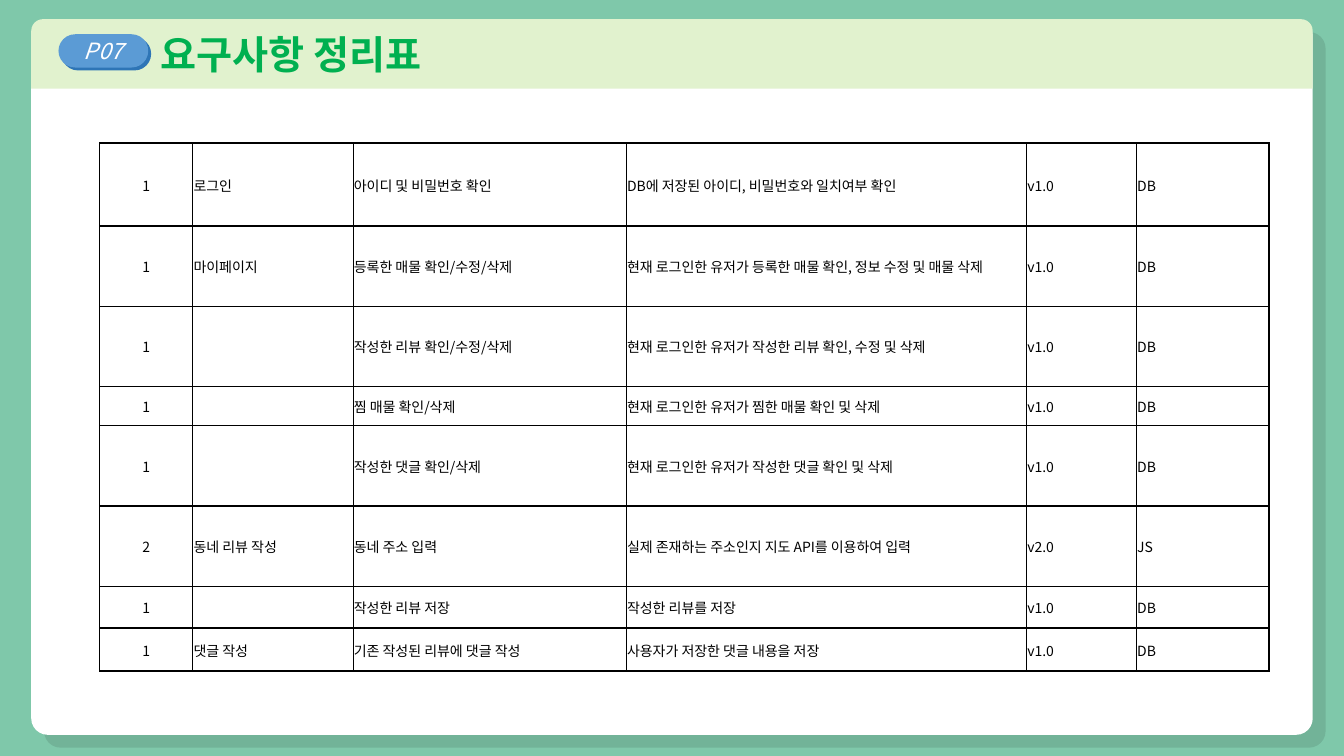
from lxml import etree
from pptx import Presentation
from pptx.dml.color import RGBColor
from pptx.enum.shapes import MSO_SHAPE
from pptx.enum.text import MSO_ANCHOR, MSO_AUTO_SIZE, PP_ALIGN
from pptx.oxml import parse_xml
from pptx.oxml.ns import nsdecls, qn
from pptx.util import Inches, Pt

ROUND, TOP_ROUND = MSO_SHAPE.ROUNDED_RECTANGLE, MSO_SHAPE.ROUND_2_SAME_RECTANGLE
LEFT, CENTER = PP_ALIGN.LEFT, PP_ALIGN.CENTER
MIDDLE = MSO_ANCHOR.MIDDLE
FONT = "Noto Sans CJK KR"
color = RGBColor.from_string


def box(kind, area, fill, shade=None):
    """Add a plain shape; shade is (colour, alpha in %, distance in points)."""
    shape = slide.shapes.add_shape(kind, *map(Inches, area))
    shape.fill.solid()
    shape.fill.fore_color.rgb = color(fill)
    shape.line.fill.background()
    shape.shadow.inherit = False
    if shade:
        tone, alpha, dist = shade
        shape.element.spPr.find(qn("a:effectLst")).append(parse_xml(
            f'<a:outerShdw {nsdecls("a")} blurRad="0" dist="{Pt(dist)}" dir="2700000" '
            f'algn="tl" rotWithShape="0"><a:srgbClr val="{tone}">'
            f'<a:alpha val="{alpha * 1000}"/></a:srgbClr></a:outerShdw>'))
    return shape


def write(frame, text, size, tone, align, bold=False, italic=False):
    frame.text = text
    para = frame.paragraphs[0]
    para.alignment = align
    for run in para.runs:
        font = run.font
        font.name, font.size = FONT, Pt(size)
        font.bold, font.italic = bold, italic
        font.color.rgb = color(tone)
        east = etree.Element(qn("a:ea"), typeface=FONT)
        run.font._element.find(qn("a:latin")).addnext(east)


prs = Presentation()
prs.slide_width, prs.slide_height = Inches(13.33), Inches(7.5)
slide = prs.slides.add_slide(prs.slide_layouts[5])
slide.background.fill.solid()
slide.background.fill.fore_color.rgb = color("7FC8AA")

# Card, header band and title
card = box(ROUND, (0.31, 0.19, 12.71, 7.1), "FFFFFF", ("000000", 10, 13))
card.adjustments[0] = 0.023
band = box(TOP_ROUND, (0.31, 0.19, 12.71, 0.69), "E1F2CE")

title = slide.shapes.title
title.left, title.top = band.left, band.top
title.width, title.height = band.width, band.height
frame = title.text_frame
write(frame, "요구사항 정리표", 28, "00B050", LEFT, bold=True)
frame.margin_left = Inches(1.28)
frame.auto_size = MSO_AUTO_SIZE.NONE
frame.vertical_anchor = MIDDLE
band.element.addnext(title.element)

badge = box(ROUND, (0.58, 0.34, 0.89, 0.33), "5B9BD5", ("2E75B6", 100, 3))
badge.adjustments[0] = 0.5
badge.text_frame.vertical_anchor = MIDDLE
write(badge.text_frame, "P07", 16, "FFFFFF", CENTER, italic=True)

# Requirements table
rows = [
    ("1", "로그인", "아이디 및 비밀번호 확인",
     "DB에 저장된 아이디, 비밀번호와 일치여부 확인", "v1.0", "DB"),
    ("1", "마이페이지", "등록한 매물 확인/수정/삭제",
     "현재 로그인한 유저가 등록한 매물 확인, 정보 수정 및 매물 삭제", "v1.0", "DB"),
    ("1", "", "작성한 리뷰 확인/수정/삭제",
     "현재 로그인한 유저가 작성한 리뷰 확인, 수정 및 삭제", "v1.0", "DB"),
    ("1", "", "찜 매물 확인/삭제",
     "현재 로그인한 유저가 찜한 매물 확인 및 삭제", "v1.0", "DB"),
    ("1", "", "작성한 댓글 확인/삭제",
     "현재 로그인한 유저가 작성한 댓글 확인 및 삭제", "v1.0", "DB"),
    ("2", "동네 리뷰 작성", "동네 주소 입력",
     "실제 존재하는 주소인지 지도 API를 이용하여 입력", "v2.0", "JS"),
    ("1", "", "작성한 리뷰 저장", "작성한 리뷰를 저장", "v1.0", "DB"),
    ("1", "댓글 작성", "기존 작성된 리뷰에 댓글 작성",
     "사용자가 저장한 댓글 내용을 저장", "v1.0", "DB"),
]
widths = [0.92, 1.59, 2.71, 3.97, 1.09, 1.32]
heights = [0.82, 0.8, 0.79, 0.39, 0.8, 0.8, 0.41, 0.43]
table = slide.shapes.add_table(len(rows), len(widths), Inches(0.99), Inches(1.42),
                               Inches(11.6), Inches(5.25)).table
table.first_row = table.horz_banding = False
for col, width in zip(table.columns, widths):
    col.width = Inches(width)
for row, height in zip(table.rows, heights):
    row.height = Inches(height)

last = len(widths) - 1
for r, row in enumerate(rows):
    # A named row opens a group, and groups are parted by heavy lines
    top = 1.5 if row[1] else 0.5
    bottom = 1.5 if r + 1 == len(rows) or rows[r + 1][1] else 0.5
    for c, text in enumerate(row):
        cell = table.cell(r, c)
        write(cell.text_frame, text, 10, "000000", LEFT if c else CENTER)
        cell.vertical_anchor = MIDDLE
        cell.margin_left = cell.margin_right = cell.margin_top = Inches(0.01)
        cell.margin_bottom = 0
        edges = {"L": 0.5 if c else 1, "R": 1.5 if c == last else 0.5,
                 "T": top, "B": bottom}
        for side, weight in edges.items():
            cell._tc.get_or_add_tcPr().append(parse_xml(
                f'<a:ln{side} {nsdecls("a")} w="{Pt(weight)}"><a:solidFill>'
                f'<a:srgbClr val="000000"/></a:solidFill></a:ln{side}>'))
        cell.fill.background()

prs.save("out.pptx")
